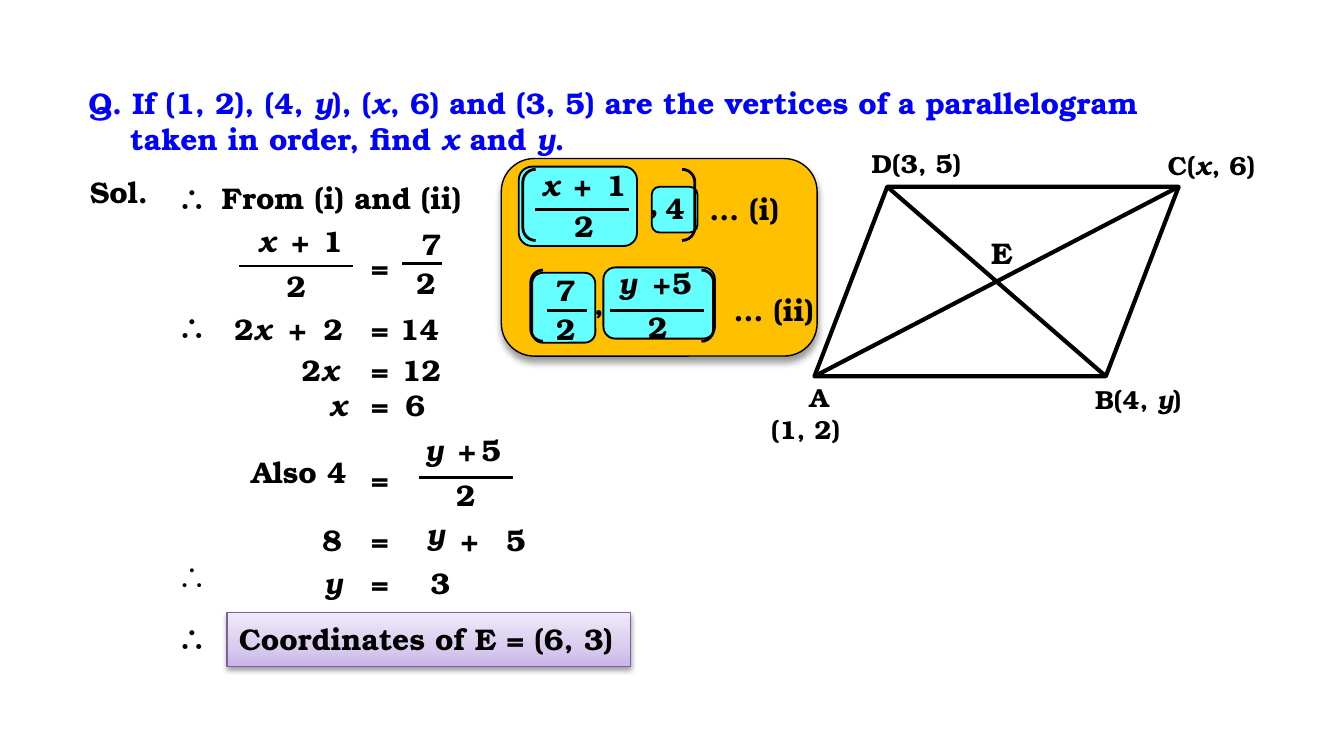
from lxml.etree import SubElement
from pptx import Presentation
from pptx.dml.color import RGBColor
from pptx.enum.shapes import MSO_CONNECTOR, MSO_SHAPE
from pptx.enum.text import MSO_AUTO_SIZE, PP_ALIGN
from pptx.oxml import parse_xml
from pptx.oxml.ns import nsdecls, qn
from pptx.util import Inches, Pt

CELL = Inches(0.01)
WIDE = 1000 * CELL
HIGH = WIDE * 9 // 16
FONT = "TeX Gyre Bonum"
BLACK, BLUE, GOLD, AQUA = "000000", "0000FF", "FFC000", "66FFFF"
LILAC = [(0, "C9B5E8"), (35, "D8CBEE"), (100, "F0EAF9")]
LEFT, MID = PP_ALIGN.LEFT, PP_ALIGN.CENTER

STEPS = [
    (180, [(260, 45, "=")]),
    (226, [(162, 53, "2*x*"), (205, 33, "+"), (230, 36, "2"), (260, 45, "="), (282, 60, "14")]),
    (257, [(212, 53, "2*x*"), (260, 45, "="), (288, 51, "12")]),
    (283, [(232, 40, "*x*"), (260, 45, "="), (288, 42, "6")]),
    (333, [(160, 125, "Also 4")]),
    (338, [(260, 45, "=")]),
    (379, [(303, 42, "*y*")]),
    (383, [(225, 44, "8"), (260, 45, "="), (333, 33, "+"), (364, 40, "5")]),
    (415, [(228, 40, "*y*"), (260, 45, "="), (302, 51, "3")]),
]
SIGNS = [(129, FONT), (225, FONT), (410, "Arial"), (456, FONT)]


def color(code):
    return RGBColor.from_string(code)


def text(slide, left, top, width, *lines, size=16, align=MID, tint=BLACK,
         font=FONT, wrap=True, hang=0, shift=0):
    height = 14 + round(size * 1.43) * len(lines)
    box = slide.shapes.add_textbox(left * CELL, top * CELL, width * CELL, height * CELL)
    frame = box.text_frame
    frame.word_wrap = wrap
    frame.auto_size = MSO_AUTO_SIZE.SHAPE_TO_FIT_TEXT
    for row, line in enumerate(lines):
        para = frame.add_paragraph() if row else frame.paragraphs[0]
        para.alignment = align
        props = para._p.get_or_add_pPr()
        if hang:
            props.set("marL", str(hang * CELL))
            props.set("indent", str(0 if row else -hang * CELL))
        elif shift and not row:
            props.set("marL", str(shift * CELL))
        for part, words in enumerate(line.split("*")):
            if words:
                run = para.add_run()
                run.text = words
                run.font.name, run.font.size = font, Pt(size)
                run.font.bold, run.font.italic = True, part % 2 == 1
                run.font.color.rgb = color(tint)


def row(slide, top, parts):
    for left, width, words in parts:
        text(slide, left, top, width, words)


def rule(slide, start, end, weight=1.5):
    ends = [round(n * CELL) for n in (*start, *end)]
    line = slide.shapes.add_connector(MSO_CONNECTOR.STRAIGHT, *ends)
    line.line.color.rgb = color(BLACK)
    line.line.width = Pt(weight)
    SubElement(line._element.spPr, qn("a:effectLst"))


def ratio(slide, left, bar, width, top, upper, base, lower):
    row(slide, top, upper)
    rule(slide, (left, bar), (left + width, bar))
    row(slide, base, [lower])


def shape(slide, kind, box, fill=None, edge=BLACK, weight=1.0, bend=None):
    item = slide.shapes.add_shape(kind, *[n * CELL for n in box])
    item.shadow.inherit = False
    if fill:
        item.fill.solid()
        item.fill.fore_color.rgb = color(fill)
    else:
        item.fill.background()
    item.line.color.rgb = color(edge)
    item.line.width = Pt(weight)
    if bend:
        item.adjustments[0] = bend
    return item


def shade(item, blur, drop, alpha):
    glow = item._element.spPr.find(qn("a:effectLst"))
    cast = SubElement(glow, qn("a:outerShdw"), blurRad=str(Pt(blur)), dist=str(Pt(drop)),
                      dir="5400000", rotWithShape="0")
    tone = SubElement(cast, qn("a:srgbClr"), val=BLACK)
    SubElement(tone, qn("a:alpha"), val=str(alpha * 1000))


def blend(item, stops):
    marks = "".join(f'<a:gs pos="{at * 1000}"><a:srgbClr val="{code}"/></a:gs>'
                    for at, code in stops)
    fill = parse_xml(f'<a:gradFill {nsdecls("a")} rotWithShape="1"><a:gsLst>{marks}</a:gsLst>'
                     '<a:lin ang="16200000" scaled="0"/></a:gradFill>')
    props = item._element.spPr
    props.replace(props.find(qn("a:noFill")), fill)


def panels(slide):
    hint = shape(slide, MSO_SHAPE.ROUNDED_RECTANGLE, (373, 118, 235, 147), GOLD, weight=0.75)
    shade(hint, 4, 3, 40)
    final = shape(slide, MSO_SHAPE.RECTANGLE, (169, 456, 300, 40), edge="7D60A0", weight=0.75)
    blend(final, LILAC)
    shade(final, 3.1, 1.6, 38)


def solve(slide):
    text(slide, 57, 124, 64, "Sol.", align=LEFT, wrap=False)
    text(slide, 155, 129, 221, "From (i) and (ii)", align=LEFT)
    for top, font in SIGNS:
        text(slide, 122, top, 38, "∴", align=LEFT, font=font)
    for top, parts in STEPS:
        row(slide, top, parts)
    ratio(slide, 178, 198, 85, 161, [(182, 34, "*x*"), (207, 27, "+"), (229, 37, "1")],
          194, (202, 37, "2"))
    ratio(slide, 299, 196, 30, 163, [(299, 44, "7")], 192, (299, 36, "2"))
    ratio(slide, 312, 355, 70, 316, [(306, 34, "*y*"), (331, 27, "+"), (347, 37, "5")],
          350, (328, 37, "2"))
    text(slide, 168, 457, 303, "Coordinates of E = (6, 3)", align=LEFT)


def points(slide):
    for box in [(386, 124, 88, 59), (396, 203, 47, 52), (485, 139, 34, 34), (449, 199, 83, 53)]:
        shape(slide, MSO_SHAPE.ROUNDED_RECTANGLE, box, AQUA)
    for box, bend in [((389, 126, 128, 53), 0.18), ((395, 201, 136, 53), 0.17)]:
        shape(slide, MSO_SHAPE.DOUBLE_BRACKET, box, weight=1.5, bend=bend)
    ratio(slide, 398, 156, 70, 119, [(393, 34, "*x*"), (417, 27, "+"), (440, 37, "1")],
          150, (416, 37, "2"))
    ratio(slide, 407, 231, 30, 197, [(403, 36, "7")], 226, (403, 36, "2"))
    ratio(slide, 454, 231, 70, 192, [(450, 34, "*y*"), (476, 27, "+"), (489, 37, "5")],
          225, (471, 37, "2"))
    row(slide, 133, [(468, 37, ",")])
    row(slide, 136, [(485, 34, "4")])
    row(slide, 208, [(432, 27, ",")])
    text(slide, 518, 137, 92, "… (i)", align=LEFT)
    text(slide, 536, 212, 99, "… (ii)", align=LEFT)


def figure(slide):
    left, top, width, height = box = 606, 139, 271, 141
    right, base = left + width, top + height
    shape(slide, MSO_SHAPE.FLOWCHART_DATA, box, weight=2.25)
    rule(slide, (right, top), (left, base), 2.25)
    rule(slide, (right - width / 5, base), (left + width / 5, top), 2.25)
    text(slide, 637, 105, 90, "D(3, 5)", size=14)
    text(slide, 859, 106, 94, "C(*x*, 6)", size=14, align=LEFT)
    text(slide, 563, 279, 73, "A", "(1, 2)", size=14, shift=20)
    text(slide, 805, 280, 86, "B(4, *y*)", size=14, align=LEFT)
    text(slide, 726, 170, 39, "E")


def main():
    deck = Presentation()
    deck.slide_width, deck.slide_height = WIDE, HIGH
    slide = deck.slides.add_slide(deck.slide_layouts[6])
    panels(slide)
    solve(slide)
    points(slide)
    figure(slide)
    text(slide, 56, 58, 824,
         "Q. If (1, 2), (4, *y*), (*x*, 6) and (3, 5) are the vertices of a parallelogram",
         "taken in order, find *x* and *y*.", align=LEFT, tint=BLUE, hang=31)
    deck.save("out.pptx")


if __name__ == "__main__":
    main()
